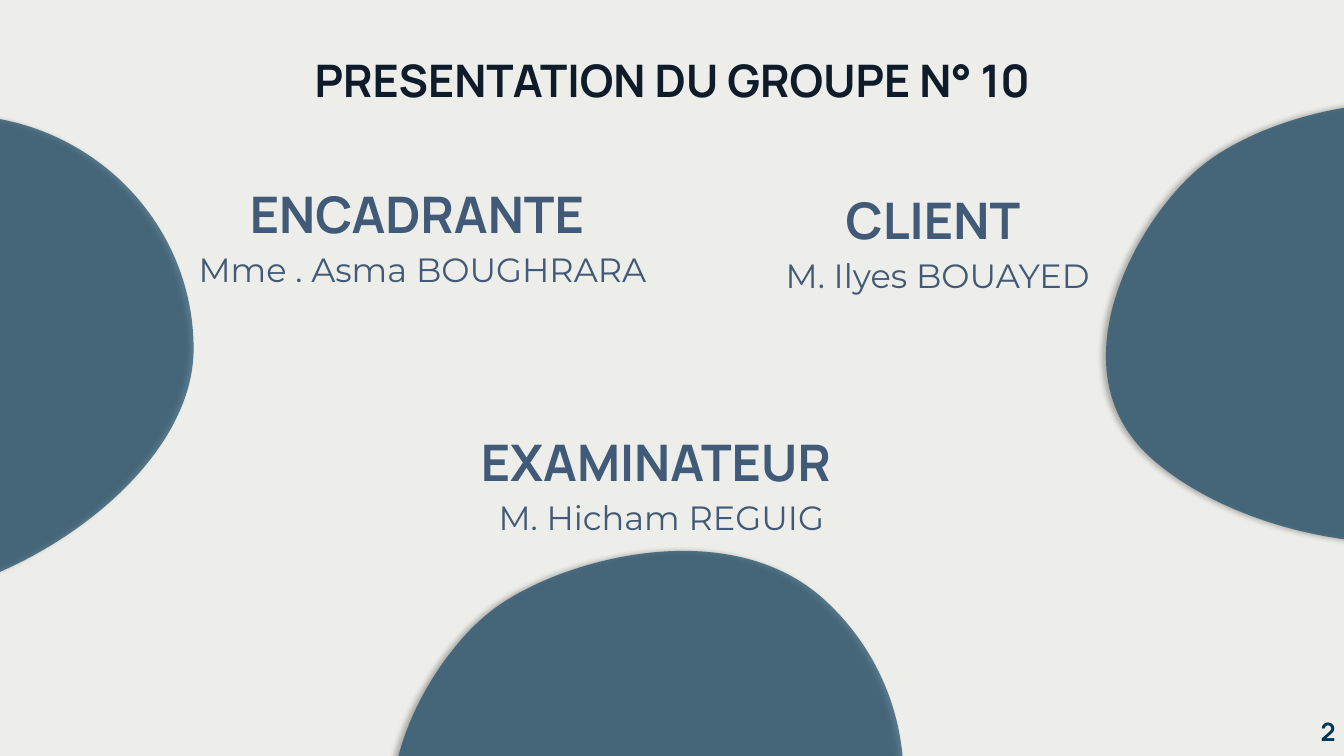
"""Build the slide that presents group 10 and its three contacts."""
from lxml.etree import SubElement
from pptx import Presentation
from pptx.dml.color import RGBColor
from pptx.enum.text import MSO_ANCHOR, MSO_AUTO_SIZE as AutoSize, PP_ALIGN
from pptx.oxml.ns import qn
from pptx.util import Inches, Pt

PEBBLE_START = (0, 2.32)
PEBBLE_CURVES = [
    [(0.13, 1.52), (1.06, 0), (2.37, 0)],
    [(3.68, 0), (4.74, 1.04), (4.74, 2.32)],
    [(4.74, 3.61), (2.87, 4.83), (1.56, 4.83)],
    [(0.25, 4.83), (-0.14, 3.13), PEBBLE_START],
]
CONTACTS = [
    (-2.82, 1.14, 0, 0.74, 1.77, "ENCADRANTE ", "Mme . Asma BOUGHRARA"),
    (4.18, 5.32, 42.4, 3.11, 4.23, "EXAMINATEUR ", "M. Hicham REGUIG"),
    (11.26, 0.88, 42.4, 5.85, 1.83, "CLIENT ", "M. Ilyes BOUAYED"),
]


def rgb(color):
    """Turn a hex string into a colour."""
    return RGBColor.from_string(color)


def write(tf, text, size, color, font="Manrope", bold=True,
          align=PP_ALIGN.CENTER, wrap=True):
    """Write one formatted paragraph into a text frame."""
    tf.word_wrap = wrap
    tf.auto_size = AutoSize.SHAPE_TO_FIT_TEXT
    tf.vertical_anchor = MSO_ANCHOR.TOP
    p = tf.paragraphs[0]
    p.alignment = align
    r = p.add_run()
    r.text = text
    r.font.name = font
    r.font.size = Pt(size)
    r.font.bold = bold
    r.font.color.rgb = rgb(color)


class Deck:
    """Hold the style and the current slide."""

    BACK, DARK, INK, PEBBLE, NUMBER = "EDEDE9", "0D1B2A", "415A77", "1B4965", "003559"

    def __init__(self, prs):
        """Add a slide with the title layout and a plain background."""
        self.slide = prs.slides.add_slide(prs.slide_layouts[5])
        fill = self.slide.background.fill
        fill.solid()
        fill.fore_color.rgb = rgb(self.BACK)

    def title(self, text, left, top, width, height):
        """Place and fill the title placeholder."""
        sp = self.slide.shapes.title
        sp.left, sp.top = Inches(left), Inches(top)
        sp.width, sp.height = Inches(width), Inches(height)
        write(sp.text_frame, text, 32, self.DARK)

    def text(self, shapes, text, left, top, width, height, size, color, **style):
        """Add a text box to a slide or a group."""
        sp = shapes.add_textbox(Inches(left), Inches(top), Inches(width), Inches(height))
        write(sp.text_frame, text, size, color, **style)

    def contact(self, left, top, role, name):
        """Add a group with a role above a name."""
        shapes = self.slide.shapes.add_group_shape().shapes
        self.text(shapes, role, left, top, 6.89, 0.71, 36, self.INK)
        self.text(shapes, name, left - 0.52, top + 0.65, 7.94, 0.5, 24, self.INK,
                  font="Montserrat", bold=False)

    def pebble(self, left, top, rotation):
        """Add a curved, translucent pebble with a soft shadow."""
        builder = self.slide.shapes.build_freeform(*map(Inches, PEBBLE_START))
        builder.add_line_segments([tuple(map(Inches, c[-1])) for c in PEBBLE_CURVES])
        sp = builder.convert_to_shape(Inches(left), Inches(top))
        sp.rotation = rotation
        outline = next(sp.element.iter(qn("a:path")))
        for line, curve in zip(outline.findall(qn("a:lnTo")), PEBBLE_CURVES):
            bezier = SubElement(outline, qn("a:cubicBezTo"))
            for x, y in curve:
                SubElement(bezier, qn("a:pt"), x=str(Inches(x)), y=str(Inches(y)))
            outline.replace(line, bezier)
        sp.fill.solid()
        sp.fill.fore_color.rgb = rgb(self.PEBBLE)
        sp.line.fill.background()
        sp.shadow.inherit = False
        sp_pr = sp.element.spPr
        SubElement(sp_pr.find(qn("a:solidFill"))[0], qn("a:alpha"), val="70000")
        shadow = SubElement(sp_pr.find(qn("a:effectLst")), qn("a:outerShdw"),
                            blurRad=str(Pt(4)), dist=str(Pt(3)), dir="10800000",
                            algn="r", rotWithShape="0")
        black = SubElement(shadow, qn("a:srgbClr"), val="000000")
        SubElement(black, qn("a:alpha"), val="40000")


def main():
    """Build and save the presentation."""
    prs = Presentation()
    prs.slide_width, prs.slide_height = Inches(13.33), Inches(7.5)
    deck = Deck(prs)
    deck.title("PRESENTATION DU GROUPE N° 10", 2.7, 0.47, 7.94, 0.64)
    for pebble_left, pebble_top, rotation, left, top, role, name in CONTACTS:
        deck.pebble(pebble_left, pebble_top, rotation)
        deck.contact(left, top, role, name)
    deck.text(deck.slide.shapes, "2", 13, 7.06, 0.34, 0.4, 18, deck.NUMBER,
              align=PP_ALIGN.LEFT, wrap=False)
    prs.save("out.pptx")


if __name__ == "__main__":
    main()
